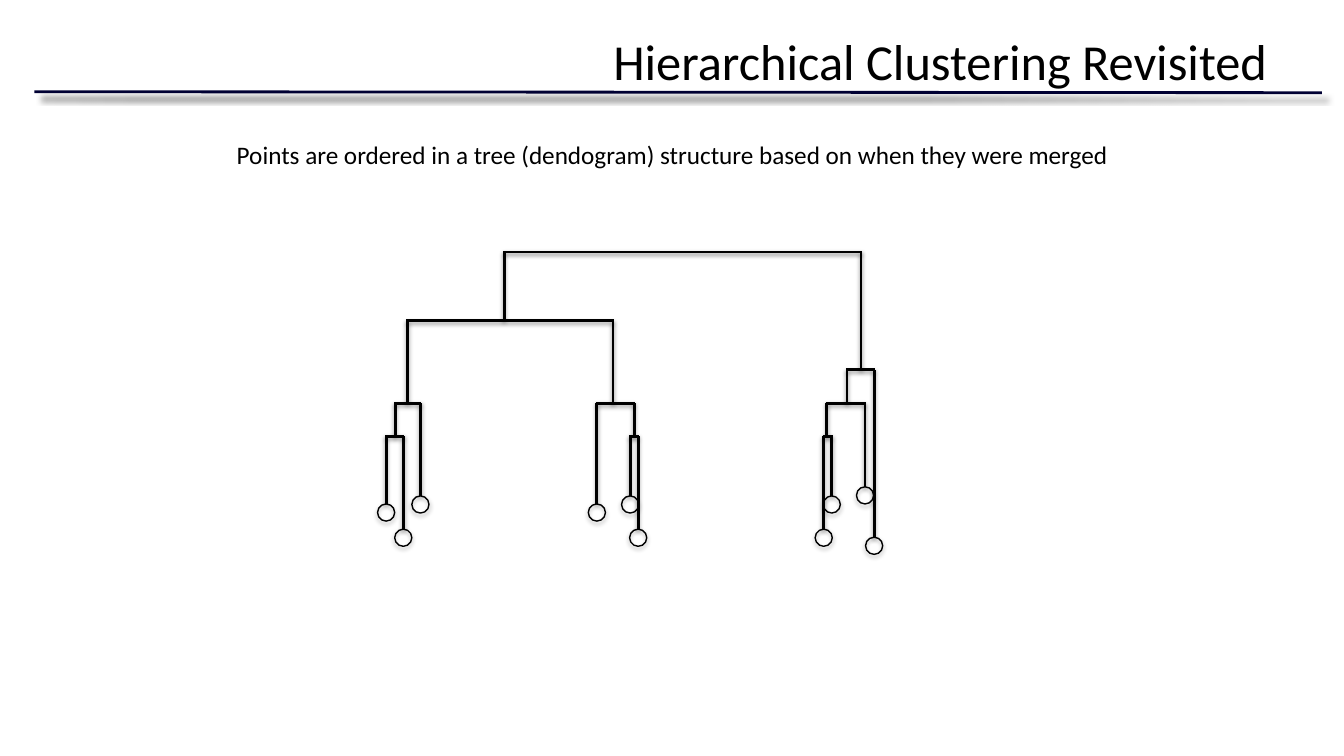
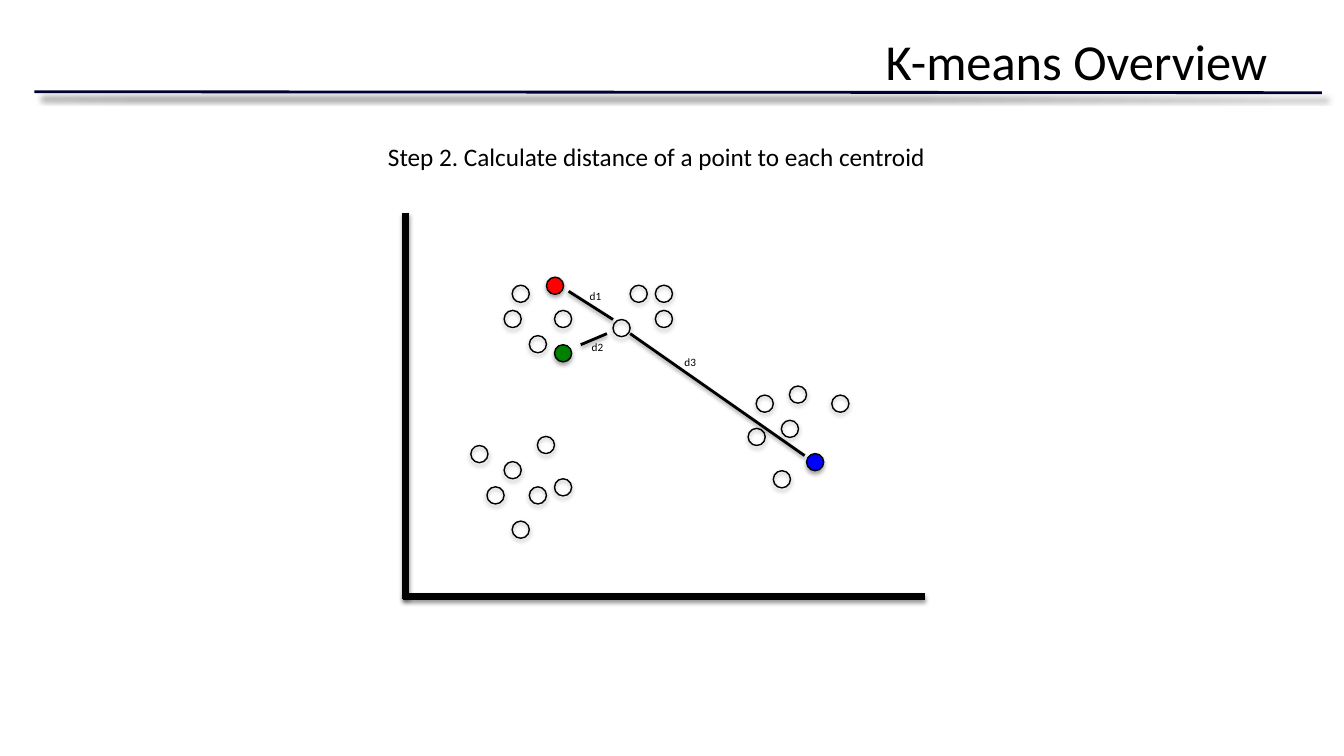
from lxml import etree
from pptx import Presentation
from pptx.dml.color import RGBColor
from pptx.enum.shapes import MSO_CONNECTOR as Connector, MSO_SHAPE as Preset
from pptx.enum.text import MSO_ANCHOR as Anchor, PP_ALIGN as Align
from pptx.oxml.ns import qn
from pptx.util import Inches, Pt

# Shared look
color = RGBColor.from_string
FONT = "Calibri"
BLACK, NAVY = "000000", "000033"
RED, GREEN, BLUE = "FF0000", "008000", "0000FF"
DIAMETER = 0.17
# Shadows: opacity in percent, blur and distance in points, angle in degrees
RULE_SHADOW = (50, 4, 6, 45)
LINE_SHADOW = (38, 3.1, 1.6, 90)
CIRCLE_SHADOW = (35, 3.1, 1.8, 90)


def set_outline(shape, width, shadow, line_color=BLACK):
    """Give a shape its line and an outer shadow."""
    shape.line.color.rgb = color(line_color)
    shape.line.width = Pt(width)
    opacity, blur, distance, angle = shadow
    effects = etree.SubElement(shape.element.spPr, qn("a:effectLst"))
    outer = etree.SubElement(
        effects, qn("a:outerShdw"), blurRad=str(Pt(blur)), dist=str(Pt(distance)),
        dir=str(angle * 60000), rotWithShape="0")
    shade = etree.SubElement(outer, qn("a:srgbClr"), val=BLACK)
    etree.SubElement(shade, qn("a:alpha"), val=str(opacity * 1000))


def add_line(page, x1, y1, x2, y2, width=2, shadow=LINE_SHADOW, line_color=BLACK):
    line = page.shapes.add_connector(
        Connector.STRAIGHT, Inches(x1), Inches(y1), Inches(x2), Inches(y2))
    set_outline(line, width, shadow, line_color)
    return line


# Dendrogram: left x, left foot, right x, right foot, height of the bar
merges = [
    (3.83, 5, 4, 5.25, 4.33), (3.92, 4.33, 4.17, 4.92, 4),
    (6.25, 4.92, 6.33, 5.25, 4.33), (5.92, 5, 6.29, 4.33, 4),
    (8.17, 5.25, 8.25, 4.92, 4.33), (8.2, 4.33, 8.58, 4.83, 4),
    (8.4, 4, 8.67, 5.33, 3.67), (4.04, 4, 6.08, 4, 3.18),
    (5, 3.18, 8.54, 3.67, 2.5),
]
LOWEST_BAR = max(merge[4] for merge in merges)
leaves, branches = [], []
for left, left_foot, right, right_foot, height in merges:
    for x, foot in ((left, left_foot), (right, right_foot)):
        branches.append((x, foot, x, height))
        if foot > LOWEST_BAR:
            leaves.append((x - DIAMETER / 2, foot, None))
    branches.append((left - 0.01, height, right + 0.01, height))

# Scatter plot: left and top of each point, then the centroids
points = [
    (5, 3.08), (6.25, 2.83), (5.5, 3.08), (5.25, 3.33), (6.08, 3.17),
    (6.5, 2.83), (5.08, 2.83), (6.5, 3.08),
    (7.5, 3.92), (7.42, 4.25), (7.83, 3.83), (7.75, 4.17), (7.67, 4.67), (8.25, 3.92),
    (5, 4.58), (5.25, 4.83), (4.83, 4.83), (5.08, 5.17), (4.67, 4.42),
    (5.33, 4.33), (5.5, 4.75),
]
centroids = [(5.42, 2.75, RED), (5.5, 3.42, GREEN), (8, 4.5, BLUE)]
axes = [(4.02, 2.11, 4.02, 5.94, 5), (9.17, 5.92, 4, 5.92, 5)]
distances = [(6.08, 3.17, 5.64, 2.89), (6.02, 3.31, 5.76, 3.42), (7.98, 4.52, 6.25, 3.31)]

# Title, circles, lines, texts (words, left, top, width, height, size, wrap)
pages = [
    ("Hierarchical Clustering Revisited", leaves, branches, [
        ("Points are ordered in a tree (dendogram) structure based on when they were merged",
         2.25, 1.33, 8.97, 0.4, 18, False)]),
    ("K-means Overview", [(x, y, None) for x, y in points] + centroids, axes + distances, [
        ("Step 2. Calculate distance of a point to each centroid",
         3.75, 1.35, 5.6, 0.4, 18, False),
        ("d1", 5.75, 2.82, 0.33, 0.24, 8, True),
        ("d2", 5.77, 3.33, 0.33, 0.24, 8, True),
        ("d3", 6.69, 3.48, 0.33, 0.24, 8, True)]),
]

deck = Presentation()
deck.slide_width, deck.slide_height = Inches(13.33), Inches(7.5)
title_only = deck.slide_layouts[5]

for heading, circles, lines, texts in pages:
    page = deck.slides.add_slide(title_only)

    # Title
    title = page.shapes.title
    title.left, title.top = Inches(0.67), Inches(0.25)
    title.width, title.height = Inches(12), Inches(1.25)
    title.text_frame.text = heading
    title.text_frame.vertical_anchor = Anchor.TOP
    para = title.text_frame.paragraphs[0]
    para.alignment = Align.RIGHT
    para.font.name, para.font.size = FONT, Pt(36)
    para.font.color.rgb = color(BLACK)

    # Circles
    for x, y, fill in circles:
        circle = page.shapes.add_shape(
            Preset.OVAL, Inches(x), Inches(y), Inches(DIAMETER), Inches(DIAMETER))
        if fill:
            circle.fill.solid()
            circle.fill.fore_color.rgb = color(fill)
        else:
            circle.fill.background()
        set_outline(circle, 1, CIRCLE_SHADOW)

    # Lines
    for line in lines:
        add_line(page, *line)

    # Texts
    for words, x, y, width, height, size, wrap in texts:
        box = page.shapes.add_textbox(Inches(x), Inches(y), Inches(width), Inches(height))
        box.text_frame.word_wrap = wrap
        box.text_frame.text = words
        para = box.text_frame.paragraphs[0]
        para.font.name, para.font.size = FONT, Pt(size)
        para.font.color.rgb = color(BLACK)

# Rule under the titles, moved to the slide master
rule = add_line(page, 0.34, 0.91, 13.11, 0.92, 2, RULE_SHADOW, NAVY)
deck.slide_master.shapes.element.append(rule.element)

deck.save("out.pptx")
